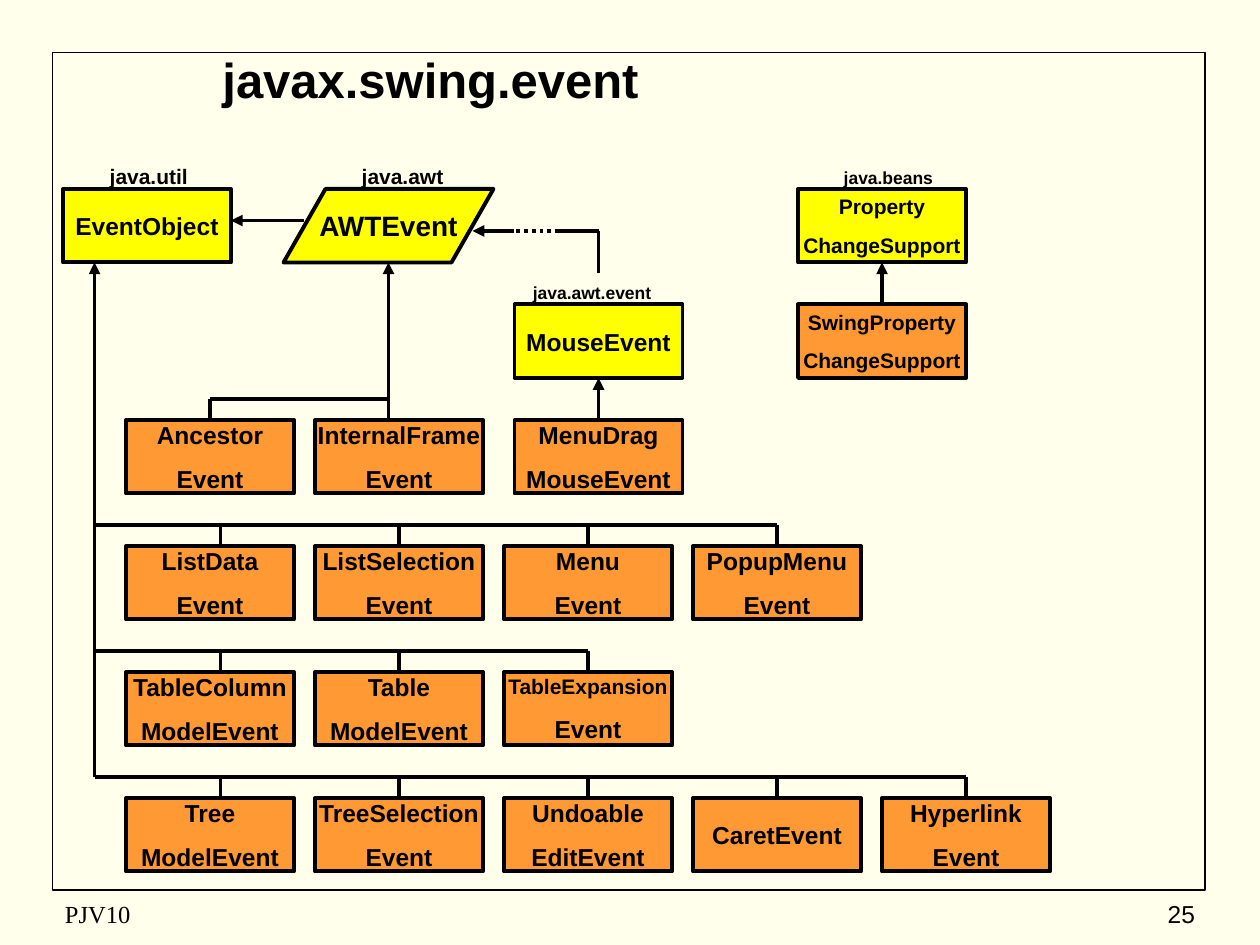
from lxml import etree
from pptx import Presentation
from pptx import util as u
from pptx.dml.color import RGBColor
from pptx.enum import dml, shapes, text
from pptx.oxml.ns import qn

CREAM = RGBColor(0xFF, 0xFF, 0xEB)
BLACK = RGBColor(0, 0, 0)
YELLOW = RGBColor(0xFF, 0xFF, 0)
ORANGE = RGBColor(0xFF, 0x99, 0x33)

STEP = 2.54 / 12  # the whole diagram sits on a grid of 12 steps per inch
BOX_W, BOX_H = 16, 7
LEFT, PITCH = 12, 18
RECT = shapes.MSO_SHAPE.RECTANGLE
DATA = shapes.MSO_SHAPE.FLOWCHART_DATA
MID = text.PP_ALIGN.CENTER

# top of the row, then the lines of each class name
ROWS = [
    (52, ["ListData Event", "ListSelection Event", "Menu Event",
          "PopupMenu Event"]),
    (64, ["TableColumn ModelEvent", "Table ModelEvent",
          "TableExpansion Event"]),
    (76, ["Tree ModelEvent", "TreeSelection Event", "Undoable EditEvent",
          "CaretEvent", "Hyperlink Event"]),
]
# name, left, top, fill, sizes of the lines
SINGLES = [
    ("EventObject", 6, 18, YELLOW, (14,)),
    ("Property ChangeSupport", 76, 18, YELLOW, (12, 12)),
    ("SwingProperty ChangeSupport", 76, 29, ORANGE, (12, 12)),
    ("MouseEvent", 49, 29, YELLOW, (14,)),
    ("Ancestor Event", 12, 40, ORANGE, (14, 14)),
    ("InternalFrame Event", 30, 40, ORANGE, (14, 14)),
    ("MenuDrag MouseEvent", 49, 40, ORANGE, (14, 14)),
]
# package, left, top, width, size, left and top inset in cm
LABELS = [
    ("java.util", 7, 15, 14, 12, 0.73, 0.13),
    ("java.awt", 31, 15, 14, 12, 0.73, 0.13),
    ("java.awt.event", 49, 26, 16, 10, 0.37, 0.19),
    ("java.beans", 77, 15, 14, 10, 0.71, 0.19),
]
ARROWS = [
    (9, 74, 9, 25), (37, 40, 37, 25), (29, 21, 22, 21),
    (57, 40, 57, 36), (84, 29, 84, 25), (49, 22, 45, 22),
]
LINES = [(37, 38, 20, 38), (20, 40, 20, 38),
         (57, 22, 53, 22), (57, 26, 57, 22)]


def grid(*steps):
    return [u.Cm(n * STEP) for n in steps]


def style(obj, **vals):
    for key, val in vals.items():
        setattr(obj, key, val)


def write(shape, lines, sizes, align=MID, bold=True, face="Arial", **frame):
    """Put one paragraph per line into the shape."""
    tf = shape.text_frame
    style(tf, **{"vertical_anchor": text.MSO_ANCHOR.MIDDLE,
                 "auto_size": text.MSO_AUTO_SIZE.NONE,
                 "word_wrap": True, **frame})
    for i, (line, size) in enumerate(zip(lines, sizes)):
        para = tf.add_paragraph() if i else tf.paragraphs[0]
        para.alignment = align
        if i:
            para.space_before = u.Pt(size * 0.625)
        run = para.add_run()
        run.text = line
        style(run.font, name=face, size=u.Pt(size), bold=bold)
        run.font.color.rgb = BLACK


def outline(slide, kind, place, fill=None, width=2.25):
    shape = slide.shapes.add_shape(kind, *grid(*place))
    shape.shadow.inherit = False
    if fill is None:
        shape.fill.background()
    else:
        shape.fill.solid()
        shape.fill.fore_color.rgb = fill
    shape.line.color.rgb = BLACK
    shape.line.width = u.Pt(width)
    return shape


def box(slide, name, left, top, fill=ORANGE, sizes=(14, 14)):
    shape = outline(slide, RECT, (left, top, BOX_W, BOX_H), fill)
    write(shape, name.split(), sizes, word_wrap=False)


def line(slide, ends, arrow=False, dash=None):
    link = slide.shapes.add_connector(shapes.MSO_CONNECTOR.STRAIGHT,
                                      *grid(*ends))
    link.line.color.rgb = BLACK
    link.line.width = u.Pt(2.25)
    if dash:
        link.line.dash_style = dash
    if arrow:
        etree.SubElement(link.line._get_or_add_ln(), qn("a:tailEnd"),
                         type="triangle")
    etree.SubElement(link._element.spPr, qn("a:effectLst"))


def label(slide, words, place, size, **form):
    write(slide.shapes.add_textbox(*grid(*place)), [words], [size], **form)


def title(slide, words):
    shape = slide.shapes.title
    style(shape, **dict(zip(("left", "top", "width", "height"),
                            grid(12, 4, 58, 7))))
    write(shape, [words], [28])


def family(slide, top, names):
    """Draw a row of events hanging from a rail that starts at the trunk."""
    rail = top - 2
    for i, name in enumerate(names):
        left = LEFT + i * PITCH
        stub = left + BOX_W / 2 + (i == 0)
        line(slide, (stub, top, stub, rail))
        sizes = (12, 14) if name.startswith("TableExp") else (14, 14)
        box(slide, name, left, top, sizes=sizes)
    line(slide, (9, rail, stub, rail))


def main():
    deck = Presentation()
    deck.slide_width, deck.slide_height = grid(120, 90)
    slide = deck.slides.add_slide(deck.slide_layouts[5])
    slide.background.fill.solid()
    slide.background.fill.fore_color.rgb = CREAM

    outline(slide, RECT, (5, 5, 109.8, 79.8), width=1)
    title(slide, "javax.swing.event")
    for ends in ARROWS:
        line(slide, ends, arrow=True)
    for ends in LINES:
        line(slide, ends)
    line(slide, (54, 22, 49, 22), dash=dml.MSO_LINE.ROUND_DOT)

    event = outline(slide, DATA, (27, 18, 20, BOX_H), YELLOW)
    write(event, ["AWTEvent"], [16], word_wrap=False)
    for single in SINGLES:
        box(slide, *single)
    for top, names in ROWS:
        family(slide, top, names)

    for words, left, top, width, size, inset, drop in LABELS:
        label(slide, words, (left, top, width, 3.6), size,
              align=text.PP_ALIGN.LEFT, vertical_anchor=text.MSO_ANCHOR.TOP,
              margin_left=u.Cm(inset), margin_top=u.Cm(drop))
    label(slide, "PJV10", (5, 85, 38, 4), 14, align=text.PP_ALIGN.LEFT,
          bold=False, face="Times New Roman")
    label(slide, "25", (90, 85, 25, 4), 14, align=text.PP_ALIGN.RIGHT,
          bold=False)
    deck.save("out.pptx")


if __name__ == "__main__":
    main()
